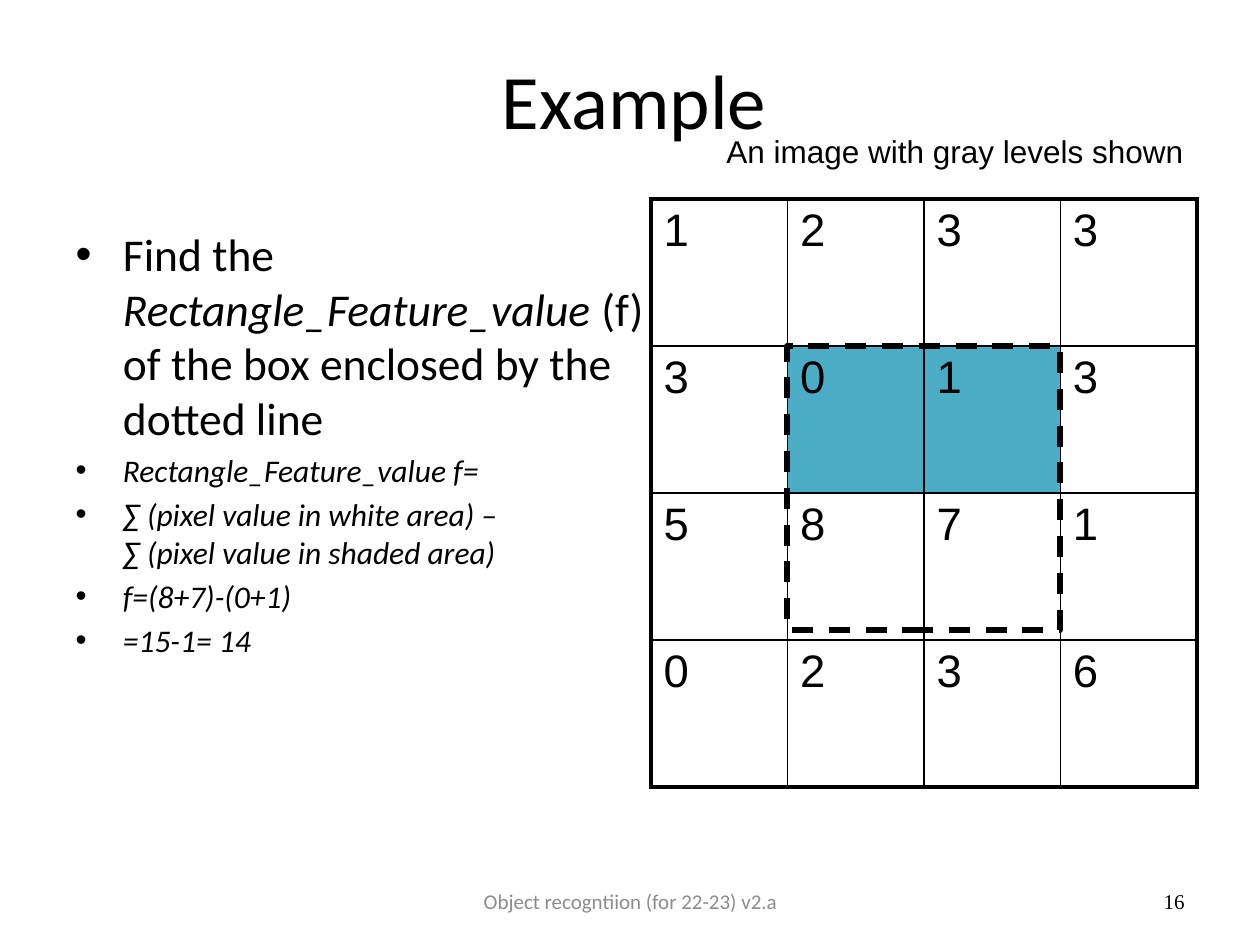
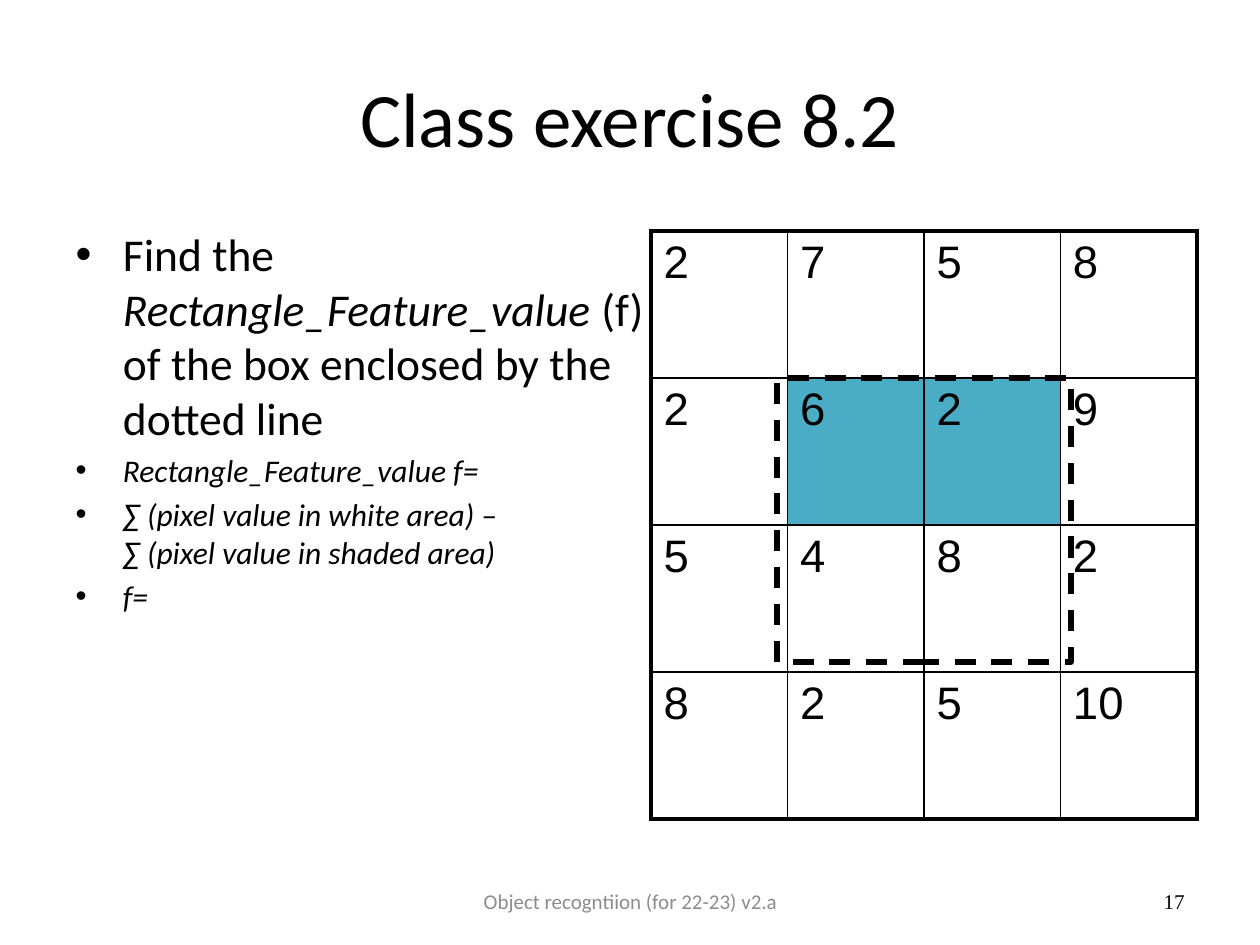
"""Build two slides on the rectangle feature value of a pixel grid."""
from lxml import etree
from pptx import Presentation
from pptx import util as u
from pptx.dml.color import RGBColor
from pptx.enum import dml, shapes, text
from pptx.oxml import ns

BLACK = RGBColor(0x00, 0x00, 0x00)
WHITE = RGBColor(0xFF, 0xFF, 0xFF)
GRAY = RGBColor(0x8C, 0x8C, 0x8C)
TEAL = RGBColor(0x4B, 0xAC, 0xC6)

PX_PER_INCH = 126
FOOTER = "Object recogntiion (for 22-23) v2.a"
FOOTER_BOX = (431, 876, 399, 50)
NUMBER_BOX = (903, 876, 294, 50)
BODY_BOX = (63, 220, 598, 624)
GRID_LEFT, GRID_WIDTH, GRID_HEIGHT = 651, 546, 588
SHADED_CELLS = {(1, 1), (1, 2)}
THIN, THICK = 1, 2.25

TASK = [("Find the ", False), ("Rectangle_Feature_value", True),
        (" (f) of the box enclosed by the dotted line", False)]
FORMULA = ["Rectangle_Feature_value f=",
           "∑ (pixel value in white area) – \v∑ (pixel value in shaded area)"]

SLIDES = [
    {
        "title": "Example",
        "title_box": (67, 20, 1134, 158),
        "steps": FORMULA + ["f=(8+7)-(0+1)", "=15-1= 14"],
        "grid_top": 199,
        "pixels": [[1, 2, 3, 3], [3, 0, 1, 3], [5, 8, 7, 1], [0, 2, 3, 6]],
        "dashed_box": (787, 346, 273, 284),
        "caption": ("An image with gray levels shown", (714, 126, 486, 50)),
        "number": "16",
    },
    {
        "title": "Class exercise 8.2",
        "title_box": (63, 38, 1134, 158),
        "steps": FORMULA + ["f="],
        "grid_top": 231,
        "pixels": [[2, 7, 5, 8], [2, 6, 2, 9], [5, 4, 8, 2], [8, 2, 5, 10]],
        "dashed_box": (777, 378, 294, 284),
        "caption": None,
        "number": "17",
    },
]


def px(length):
    return u.Emu(round(length * u.Inches(1) / PX_PER_INCH))


def place(shape, box):
    shape.left, shape.top, shape.width, shape.height = map(px, box)


def style(paragraph, size, name="Calibri", color=BLACK, italic=None):
    font = paragraph.font
    font.size, font.name, font.italic = u.Pt(size), name, italic
    font.color.rgb = color


def add_label(slide, words, box, size, name, color=BLACK,
              align=text.PP_ALIGN.LEFT, anchor=text.MSO_ANCHOR.TOP, wrap=True):
    frame = slide.shapes.add_textbox(*map(px, box)).text_frame
    frame.word_wrap, frame.vertical_anchor = wrap, anchor
    paragraph = frame.paragraphs[0]
    paragraph.text, paragraph.alignment = words, align
    style(paragraph, size, name, color)


def fill_title(slide, words, box):
    title = slide.shapes.title
    place(title, box)
    title.text_frame.text = words
    title.text_frame.vertical_anchor = text.MSO_ANCHOR.MIDDLE
    title.text_frame.auto_size = text.MSO_AUTO_SIZE.NONE
    title.text_frame.paragraphs[0].alignment = text.PP_ALIGN.CENTER
    style(title.text_frame.paragraphs[0], 44)


def fill_body(slide, steps):
    body = slide.placeholders[1]
    place(body, BODY_BOX)
    frame = body.text_frame
    frame.auto_size = text.MSO_AUTO_SIZE.NONE
    task = frame.paragraphs[0]
    style(task, 26)
    for words, italic in TASK:
        run = task.add_run()
        run.text, run.font.italic = words, italic
    for step in steps:
        paragraph = frame.add_paragraph()
        paragraph.text = step
        style(paragraph, 18, italic=True)


def set_borders(cell, widths):
    properties = cell._tc.get_or_add_tcPr()
    for index, (side, width) in enumerate(zip("LRTB", widths)):
        line = etree.Element(ns.qn(f"a:ln{side}"), w=str(u.Pt(width)))
        solid = etree.SubElement(line, ns.qn("a:solidFill"))
        etree.SubElement(solid, ns.qn("a:srgbClr"), val=str(BLACK))
        properties.insert(index, line)


def add_pixel_grid(slide, pixels, top):
    rows, columns = len(pixels), len(pixels[0])
    box = (GRID_LEFT, top, GRID_WIDTH, GRID_HEIGHT)
    table = slide.shapes.add_table(rows, columns, *map(px, box)).table
    table.first_row = table.horz_banding = False
    for row, values in enumerate(pixels):
        for column, value in enumerate(values):
            cell = table.cell(row, column)
            cell.text = str(value)
            style(cell.text_frame.paragraphs[0], 26, "Arial")
            cell.fill.solid()
            cell.fill.fore_color.rgb = TEAL if (row, column) in SHADED_CELLS else WHITE
            outer = (column == 0, column == columns - 1, row == 0, row == rows - 1)
            set_borders(cell, [THICK if edge else THIN for edge in outer])


def add_dashed_box(slide, box):
    shape = slide.shapes.add_shape(shapes.MSO_SHAPE.RECTANGLE, *map(px, box))
    shape.shadow.inherit = False
    shape.fill.background()
    shape.line.color.rgb = BLACK
    shape.line.width = u.Pt(3)
    shape.line.dash_style = dml.MSO_LINE.DASH


def add_footer(slide, number):
    middle = text.MSO_ANCHOR.MIDDLE
    add_label(slide, FOOTER, FOOTER_BOX, 12, "Calibri", GRAY,
              text.PP_ALIGN.CENTER, middle)
    add_label(slide, number, NUMBER_BOX, 12, "Times New Roman",
              align=text.PP_ALIGN.RIGHT, anchor=middle)


def main():
    presentation = Presentation()
    presentation.slide_width, presentation.slide_height = u.Inches(10), u.Inches(7.5)
    for content in SLIDES:
        slide = presentation.slides.add_slide(presentation.slide_layouts[1])
        fill_title(slide, content["title"], content["title_box"])
        fill_body(slide, content["steps"])
        add_pixel_grid(slide, content["pixels"], content["grid_top"])
        add_footer(slide, content["number"])
        add_dashed_box(slide, content["dashed_box"])
        if content["caption"]:
            words, box = content["caption"]
            add_label(slide, words, box, 18, "Arial", wrap=False)
    presentation.save("out.pptx")


if __name__ == "__main__":
    main()
